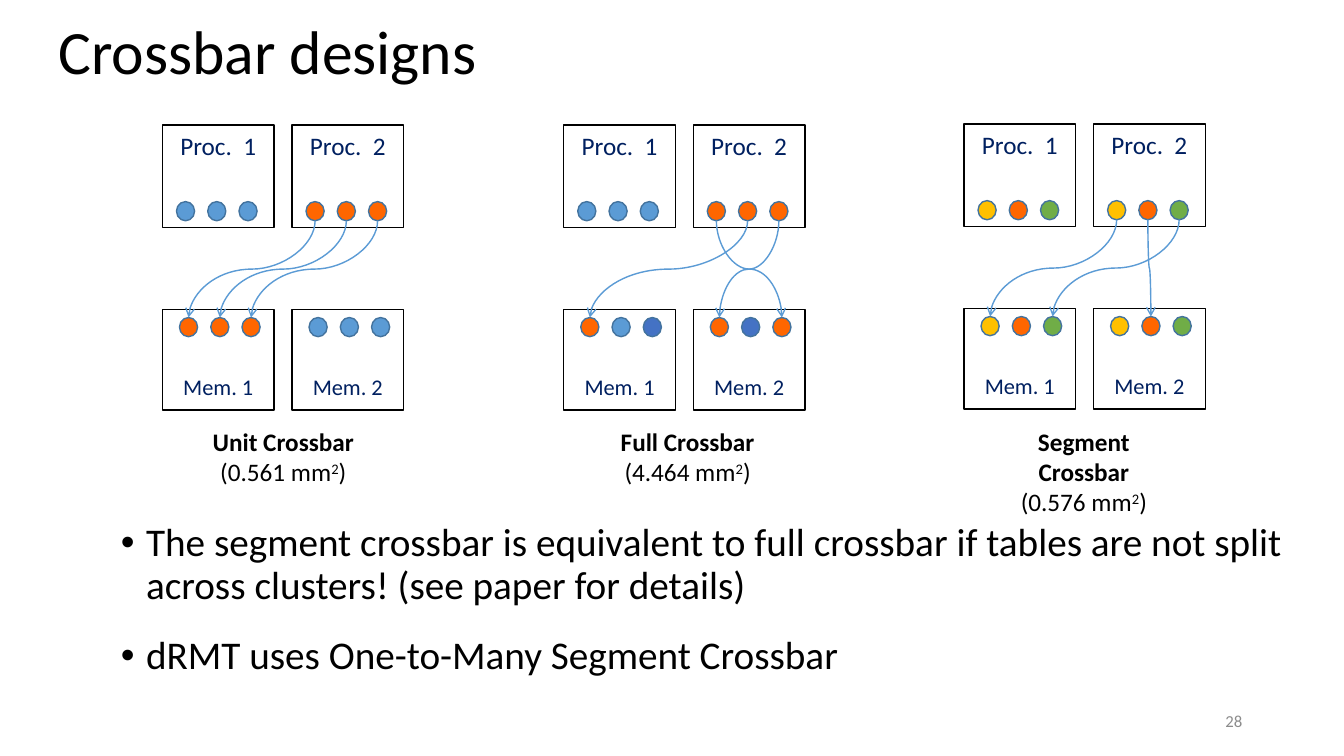
from dataclasses import dataclass

from pptx import Presentation
from pptx import util as u
from pptx.dml.color import RGBColor
from pptx.enum import shapes, text
from pptx.oxml.ns import qn

FONT = "Calibri"
BLACK, NAVY, GREY = "000000", "002060", "8C8C8C"
BLUE, INDIGO, ORANGE = "5B9BD5", "4472C4", "FF6600"
YELLOW, GREEN, DOT_EDGE = "FFC000", "70AD47", "43739E"

BOX_WIDTH, BOX_PITCH = 1.11, 1.285
PROC_HEIGHT, MEM_HEIGHT, MEM_DROP = 1.02, 1.0, 1.83
DOT_WIDTH, DOT_HEIGHT, DOT_PITCH = 0.18, 0.19, 0.31
PROC_DOT_LEFT, PROC_DOT_DROP = 0.14, 0.76
MEM_DOT_LEFT, MEM_DOT_DROP = 0.17, 1.91
CAPTION_TOP, CAPTION_WIDTH, CAPTION_HEIGHT = 4.18, 2.04, 0.71


@dataclass(frozen=True)
class Crossbar:
    name: str
    area: str
    left: float
    top: float
    center: float
    proc_dots: list[str]
    mem_dots: list[str]
    wires: list[tuple[int, int]]


CROSSBARS = [
    Crossbar("Unit Crossbar", "0.561", 1.61, 1.24, 2.81,
             [BLUE] * 3 + [ORANGE] * 3, [ORANGE] * 3 + [BLUE] * 3,
             [(3, 0), (4, 1), (5, 2)]),
    Crossbar("Full Crossbar", "4.464", 5.59, 1.24, 6.82,
             [BLUE] * 3 + [ORANGE] * 3,
             [ORANGE, BLUE, INDIGO, ORANGE, INDIGO, ORANGE],
             [(3, 5), (4, 0), (5, 3)]),
    Crossbar("Segment Crossbar", "0.576", 9.56, 1.23, 10.75,
             [YELLOW, ORANGE, GREEN] * 2, [YELLOW, ORANGE, GREEN] * 2,
             [(3, 0), (4, 4), (5, 2)]),
]
BULLETS = [
    "The segment crossbar is equivalent to full crossbar if tables are not "
    "split across clusters! (see paper for details)",
    "dRMT uses One-to-Many Segment Crossbar",
]


def color(value: str) -> RGBColor:
    return RGBColor.from_string(value)


def style(span, size: float, ink: str = BLACK, bold: bool = False) -> None:
    span.font.name = FONT
    span.font.size = u.Pt(size)
    span.font.bold = bold
    span.font.color.rgb = color(ink)


def add_text_box(parent, left: float, top: float, width: float, height: float):
    box = parent.add_textbox(*map(u.Inches, (left, top, width, height)))
    box.text_frame.word_wrap = True
    return box.text_frame


def add_outlined(parent, kind, left: float, top: float, width: float,
                 height: float, edge: str, fill: str | None = None):
    shape = parent.add_shape(kind, *map(u.Inches, (left, top, width, height)))
    shape.shadow.inherit = False
    if fill:
        shape.fill.solid()
        shape.fill.fore_color.rgb = color(fill)
    else:
        shape.fill.background()
    shape.line.color.rgb = color(edge)
    shape.line.width = u.Pt(1)
    return shape


def add_unit(parent, label: str, left: float, top: float, height: float,
             size: float, anchor) -> None:
    box = add_outlined(parent, shapes.MSO_SHAPE.RECTANGLE, left, top,
                       BOX_WIDTH, height, BLACK)
    frame = box.text_frame
    frame.text = label
    frame.vertical_anchor = anchor
    frame.margin_left = frame.margin_right = 0
    frame.margin_top = u.Inches(0.05)
    frame.margin_bottom = u.Inches(0.1)
    para = frame.paragraphs[0]
    para.alignment = text.PP_ALIGN.CENTER
    style(para.runs[0], size, NAVY)


def add_dots(parent, fills: list[str], left: float, top: float) -> list[float]:
    centers = []
    for index, fill in enumerate(fills):
        unit, slot = divmod(index, 3)
        dot_left = left + unit * BOX_PITCH + slot * DOT_PITCH
        add_outlined(parent, shapes.MSO_SHAPE.OVAL, dot_left, top,
                     DOT_WIDTH, DOT_HEIGHT, DOT_EDGE, fill)
        centers.append(dot_left + DOT_WIDTH / 2)
    return centers


def add_wire(parent, start_x: float, start_y: float,
             end_x: float, end_y: float) -> None:
    middle_x, middle_y = (start_x + end_x) / 2, (start_y + end_y) / 2
    half_drop, half_shift = (end_y - start_y) / 2, (start_x - end_x) / 2
    wire = parent.add_connector(
        shapes.MSO_CONNECTOR.CURVE,
        u.Inches(middle_x - half_drop), u.Inches(middle_y - half_shift),
        u.Inches(middle_x + half_drop), u.Inches(middle_y + half_shift))
    wire.line.color.rgb = color(BLUE)
    wire.line.width = u.Pt(1)
    properties = wire.element.spPr
    properties.find(qn("a:xfrm")).set("rot", "5400000")
    line = properties.find(qn("a:ln"))
    line.append(line.makeelement(qn("a:tailEnd"), {"type": "arrow"}))
    properties.append(properties.makeelement(qn("a:effectLst"), {}))


def add_caption(parent, crossbar: Crossbar) -> None:
    frame = add_text_box(parent, crossbar.center - CAPTION_WIDTH / 2,
                         CAPTION_TOP, CAPTION_WIDTH, CAPTION_HEIGHT)
    frame.text = crossbar.name
    style(frame.paragraphs[0].runs[0], 18, bold=True)
    area = frame.add_paragraph()
    for part in (f"({crossbar.area} mm", "2", ")"):
        span = area.add_run()
        span.text = part
        style(span, 18)
    area.runs[1].font._element.set("baseline", "30000")
    for para in frame.paragraphs:
        para.alignment = text.PP_ALIGN.CENTER


def add_crossbar(slide, crossbar: Crossbar) -> None:
    group = slide.shapes.add_group_shape().shapes
    left, top = crossbar.left, crossbar.top
    for unit in range(2):
        unit_left = left + unit * BOX_PITCH
        add_unit(group, f"Proc.  {unit + 1}", unit_left, top, PROC_HEIGHT,
                 18, text.MSO_ANCHOR.TOP)
        add_unit(group, f"Mem. {unit + 1}", unit_left, top + MEM_DROP,
                 MEM_HEIGHT, 16, text.MSO_ANCHOR.BOTTOM)
    proc_top, mem_top = top + PROC_DOT_DROP, top + MEM_DOT_DROP
    starts = add_dots(group, crossbar.proc_dots, left + PROC_DOT_LEFT, proc_top)
    ends = add_dots(group, crossbar.mem_dots, left + MEM_DOT_LEFT, mem_top)
    for start, end in crossbar.wires:
        add_wire(group, starts[start], proc_top + DOT_HEIGHT,
                 ends[end], mem_top)
    add_caption(group, crossbar)


def add_title(slide) -> None:
    title = slide.shapes.title
    title.left, title.top, title.width, title.height = map(
        u.Inches, (0.48, 0.01, 11.5, 1.06))
    title.text_frame.text = "Crossbar designs"
    title.text_frame.vertical_anchor = text.MSO_ANCHOR.MIDDLE
    para = title.text_frame.paragraphs[0]
    para.alignment = text.PP_ALIGN.LEFT
    para.line_spacing = 0.9
    style(para.runs[0], 44)


def add_bullets(slide) -> None:
    frame = add_text_box(slide.shapes, 1.1, 5.14, 11.85, 2.3)
    for index, line in enumerate(BULLETS):
        para = frame.add_paragraph() if index else frame.paragraphs[0]
        para.text = line
        para.line_spacing = 0.9
        para.space_before = u.Pt(20 * index)
        style(para.runs[0], 28)
        properties = para._p.get_or_add_pPr()
        properties.set("marL", str(u.Inches(0.25)))
        properties.set("indent", str(-u.Inches(0.25)))
        for tag, attributes in (("a:buFont", {"typeface": "Arial"}),
                                ("a:buChar", {"char": "•"})):
            properties.append(properties.makeelement(qn(tag), attributes))


def add_page_number(slide) -> None:
    frame = add_text_box(slide.shapes, 9.42, 6.95, 3, 0.4)
    frame.text = "28"
    frame.vertical_anchor = text.MSO_ANCHOR.MIDDLE
    frame.paragraphs[0].alignment = text.PP_ALIGN.RIGHT
    style(frame.paragraphs[0].runs[0], 12, GREY)


def main() -> None:
    deck = Presentation()
    deck.slide_width, deck.slide_height = u.Inches(13.33), u.Inches(7.5)
    slide = deck.slides.add_slide(deck.slide_layouts.get_by_name("Title Only"))
    add_title(slide)
    add_bullets(slide)
    for crossbar in CROSSBARS:
        add_crossbar(slide, crossbar)
    add_page_number(slide)
    deck.save("out.pptx")


if __name__ == "__main__":
    main()
